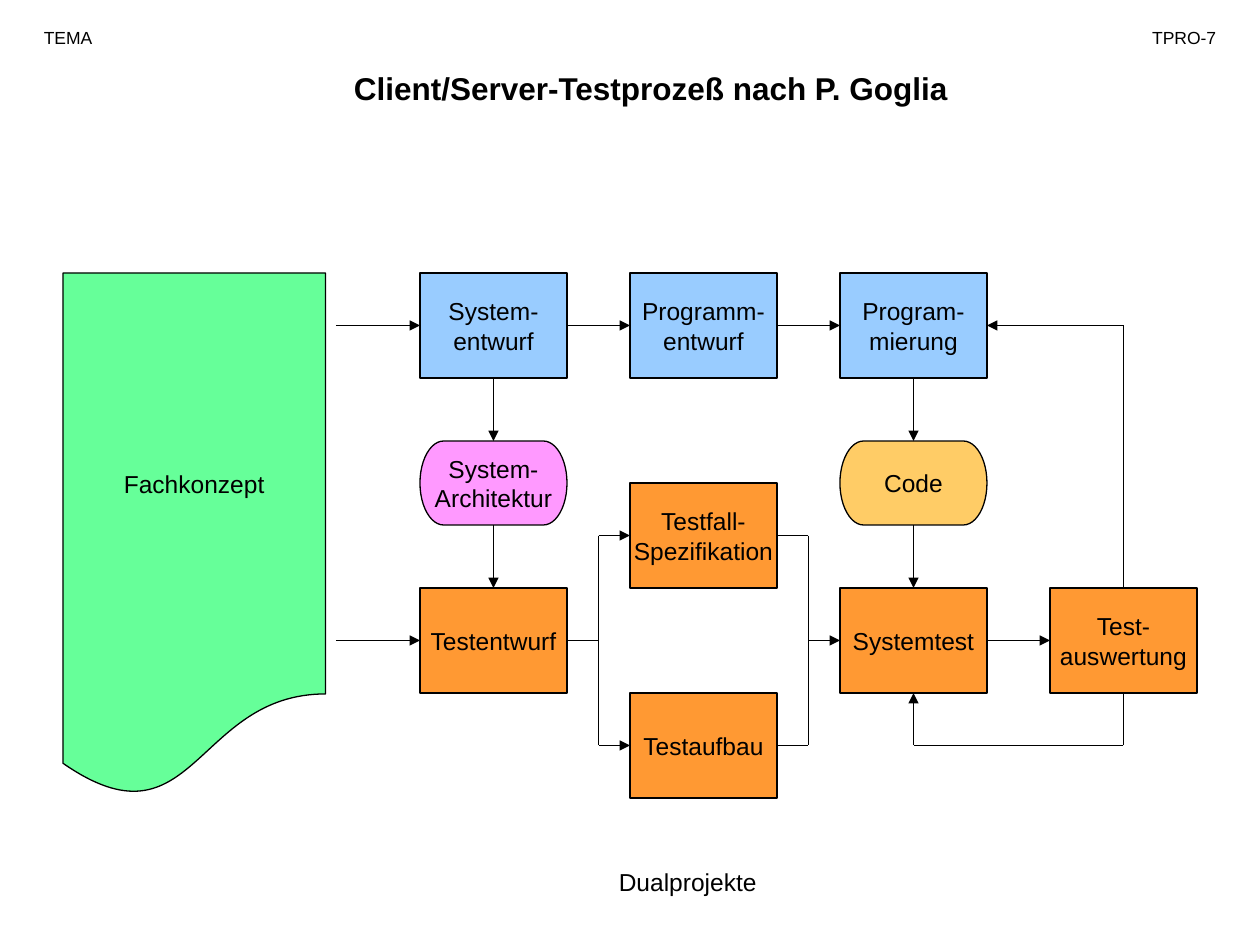
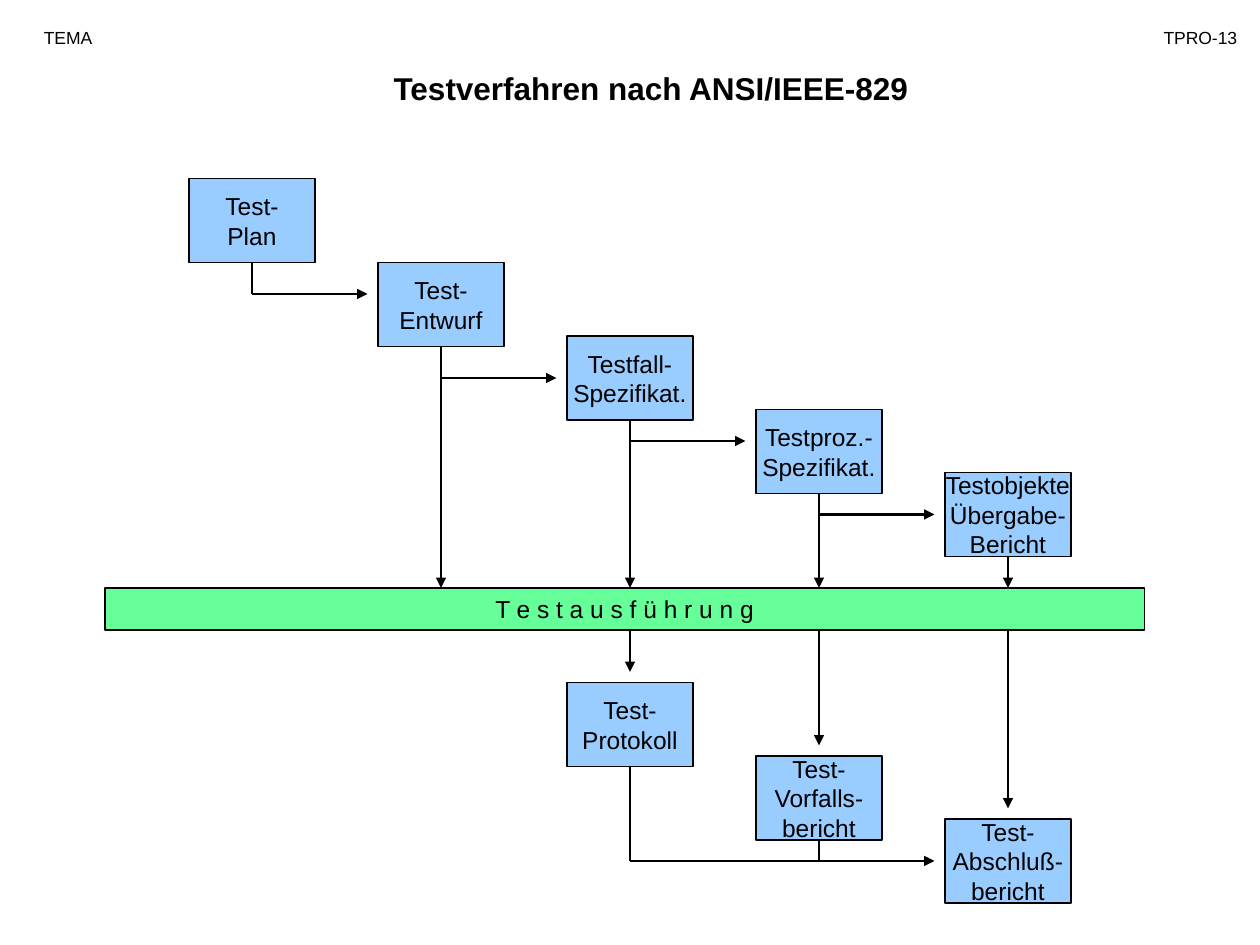
from dataclasses import dataclass

from lxml.etree import SubElement
from pptx import Presentation
from pptx.dml.color import RGBColor
from pptx.enum.shapes import MSO_CONNECTOR, MSO_SHAPE
from pptx.enum.text import MSO_ANCHOR, PP_ALIGN
from pptx.oxml.ns import qn
from pptx.util import Inches, Pt


@dataclass(frozen=True)
class Theme:
    font: str = "Arial"
    title: int = 18
    body: int = 14
    header: int = 10
    black: str = "000000"
    blue: str = "99CCFF"
    orange: str = "FF9933"
    green: str = "66FF99"
    pink: str = "FF99FF"
    yellow: str = "FFCC66"
    thin: float = 0.75
    thick: float = 1.5


T = Theme()
TOP, LEFT, BOTTOM, RIGHT = range(4)


def grid(*values):
    """Lengths on the drawing grid of twelve steps to the inch."""
    return [Inches(v / 12) for v in values]


def fill_text(tf, text, size, align, bold=False):
    for i, line in enumerate(text.split("\n")):
        p = tf.paragraphs[0] if i == 0 else tf.add_paragraph()
        p.text = line
        p.alignment = align
        p.font.name = T.font
        p.font.size = Pt(size)
        p.font.bold = bold
        p.font.color.rgb = RGBColor.from_string(T.black)


def add_label(s, text, x, y, w, h, size, align=PP_ALIGN.CENTER, bold=False):
    tf = s.shapes.add_textbox(*grid(x, y, w, h)).text_frame
    tf.word_wrap = True
    fill_text(tf, text, size, align, bold)


def add_box(s, text, x, y, w, h, color, kind=MSO_SHAPE.RECTANGLE):
    sp = s.shapes.add_shape(kind, *grid(x, y, w, h))
    sp.shadow.inherit = False
    sp.fill.solid()
    sp.fill.fore_color.rgb = RGBColor.from_string(color)
    sp.line.color.rgb = RGBColor.from_string(T.black)
    sp.line.width = Pt(T.thin)
    tf = sp.text_frame
    tf.word_wrap = False
    tf.vertical_anchor = MSO_ANCHOR.MIDDLE
    fill_text(tf, text, T.body, PP_ALIGN.CENTER)
    return sp


def add_line(s, start, end, width, arrow=True):
    """Draw a line; each end is a grid point or a (shape, side) pair."""
    points = [(0, 0) if hasattr(e[0], "shape_id") else e for e in (start, end)]
    c = s.shapes.add_connector(MSO_CONNECTOR.STRAIGHT, *grid(*points[0], *points[1]))
    for e, connect in ((start, c.begin_connect), (end, c.end_connect)):
        if hasattr(e[0], "shape_id"):
            connect(*e)
    c.line.color.rgb = RGBColor.from_string(T.black)
    c.line.width = Pt(width)
    if arrow:
        SubElement(c.line._get_or_add_ln(), qn("a:tailEnd"), type="triangle")
    SubElement(c._element.spPr, qn("a:effectLst"))


def add_page(prs, title, number, number_width):
    s = prs.slides.add_slide(prs.slide_layouts[6])
    add_label(s, title, 26, 6, 72, 4.8, T.title, bold=True)
    add_label(s, "TEMA", 3, 2, 11, 3.2, T.header, PP_ALIGN.LEFT)
    add_label(s, number, 106, 2, number_width, 3.2, T.header, PP_ALIGN.RIGHT)
    return s


def build_client_server(prs):
    s = add_page(prs, "Client/Server-Testprozeß nach P. Goglia", "TPRO-7", 11)
    col = [40 + 20 * i for i in range(4)]
    design_y, test_y = 26, 56

    def step(text, x, y, color):
        return add_box(s, text, x, y, 14, 10, color)

    def result(text, x, color):
        return add_box(s, text, x, 42, 14, 8, color, MSO_SHAPE.FLOWCHART_TERMINATOR)

    def line(start, end, arrow=True):
        add_line(s, start, end, T.thin, arrow)

    # Steps and results
    system, program, coding = [
        step(text, x, design_y, T.blue)
        for text, x in zip(("System-\nentwurf", "Programm-\nentwurf", "Program-\nmierung"), col)]
    evaluation = step("Test-\nauswertung", col[3], test_y, T.orange)
    test_design = step("Testentwurf", col[0], test_y, T.orange)
    architecture = result("System-\nArchitektur", col[0], T.pink)
    code = result("Code", col[2], T.yellow)
    cases = step("Testfall-\nSpezifikation", col[1], 46, T.orange)
    setup = step("Testaufbau", col[1], 66, T.orange)
    system_test = step("Systemtest", col[2], test_y, T.orange)
    add_box(s, "Fachkonzept", 6, 26, 25, 50, T.green, MSO_SHAPE.FLOWCHART_DOCUMENT)

    # Flow to the right
    for y, target in ((31, system), (61, test_design)):
        line((32, y), (target, LEFT))
    for a, b in ((system, program), (program, coding), (system_test, evaluation)):
        line((a, RIGHT), (b, LEFT))

    # Flow downwards
    for chain in ((system, architecture, test_design), (coding, code, system_test)):
        for a, b in zip(chain, chain[1:]):
            line((a, BOTTOM), (b, TOP))

    # Fork into specification and setup, joined again before the system test
    fork_x, join_x = 57, 77
    line((test_design, RIGHT), (fork_x, 61), False)
    line((join_x, 61), (system_test, LEFT))
    for x in (fork_x, join_x):
        line((x, 51), (x, 71), False)
    for y, box in ((51, cases), (71, setup)):
        line((fork_x, y), (box, LEFT))
        line((box, RIGHT), (join_x, y), False)

    # Feedback from the evaluation
    line((evaluation, TOP), (107, 31), False)
    line((107, 31), (coding, RIGHT))
    line((evaluation, BOTTOM), (107, 71), False)
    line((107, 71), (87, 71), False)
    line((87, 71), (system_test, BOTTOM))

    add_label(s, "Dualprojekte", 52, 82, 27, 4.1, T.body)


def build_ansi_ieee(prs):
    s = add_page(prs, "Testverfahren nach ANSI/IEEE-829", "TPRO-13", 13)
    col = [18 + 18 * i for i in range(5)]
    mid = [x + 6 for x in col]
    bar_top, bar_bottom = 56, 60

    def document(text, i, y):
        return add_box(s, text, col[i], y, 12, 8, T.blue)

    def line(start, end, arrow=True):
        add_line(s, start, end, T.thick, arrow)

    # Documents before and after execution
    before = [document(text, i, y) for i, (text, y) in enumerate((
        ("Test-\nPlan", 17),
        ("Test-\nEntwurf", 25),
        ("Testfall-\nSpezifikat.", 32),
        ("Testproz.-\nSpezifikat.", 39),
        ("Testobjekte\nÜbergabe-\nBericht", 45)))]
    reports = (
        ("Test-\nProtokoll", 2, 65),
        ("Test-\nVorfalls-\nbericht", 3, 72),
        ("Test-\nAbschluß-\nbericht", 4, 78))
    after = [document(*report) for report in reports]
    add_box(s, "T e s t a u s f ü h r u n g", 10, bar_top, 99, 4, T.green)

    # Staircase from each document to the next
    turns = (28, 36, 42, 49)
    line((before[0], BOTTOM), (mid[0], turns[0]), False)
    for i, y in enumerate(turns):
        line((mid[i], y), (col[i + 1] - 1, y))

    # Into and out of the execution bar
    for x, box in zip(mid[1:], before[1:]):
        line((box, BOTTOM), (x, bar_top))
    for _, i, y in reports:
        line((mid[i], bar_bottom), (mid[i], y - 1))

    # Reports gathered in the final report
    gather_y = 82
    for x, box in zip(mid[2:], after[:2]):
        line((box, BOTTOM), (x, gather_y), False)
    line((mid[2], gather_y), (col[4] - 1, gather_y))


def main():
    prs = Presentation()
    prs.slide_width, prs.slide_height = Inches(10), Inches(7.5)
    build_client_server(prs)
    build_ansi_ieee(prs)
    prs.save("out.pptx")


if __name__ == "__main__":
    main()
